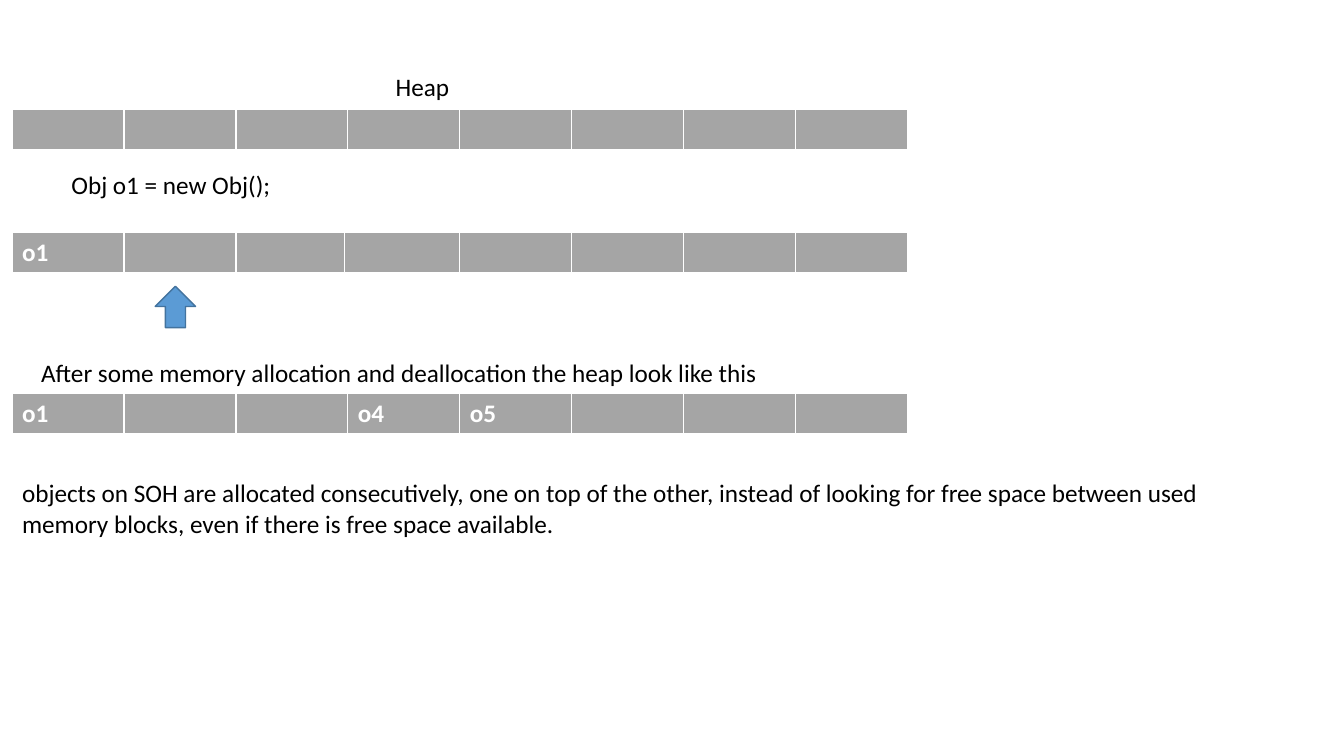
from lxml import etree
from pptx import Presentation
from pptx import util as u
from pptx.dml.color import RGBColor
from pptx.enum import shapes, text
from pptx.oxml.ns import qn

# Content
W, H = 13.33, 7.5
FONT, SIZE = "Calibri", 18
COLORS = {"ink": "000000", "white": "FFFFFF", "cell": "A5A5A5",
          "arrow": "5B9BD5", "arrow_line": "43739E"}
SLOTS = 8
HEAP_LEFT, SLOT_W, ROW_H = 0.12, 1.11, 0.41
BORDERS = {"a:lnL": 1, "a:lnR": 1, "a:lnT": 1, "a:lnB": 3}

# top, {slot: object}, {slot: change in width}
HEAPS = [
    (1.09, {}, {}),
    (2.31, {0: "o1"}, {2: -0.03, 3: 0.03}),
    (3.9, {0: "o1", 3: "o4", 4: "o5"}, {}),
]
# text, (left, top, width, height), alignment
CAPTIONS = [
    ("Heap", (0.61, 0.66, 7.16, 0.4), text.PP_ALIGN.CENTER),
    ("Obj o1 = new Obj();", (0.61, 1.63, 8.23, 0.4), text.PP_ALIGN.LEFT),
    ("After some memory allocation and deallocation the heap look like this",
     (0.31, 3.5, 9.69, 0.4), text.PP_ALIGN.LEFT),
    ("objects on SOH are allocated consecutively, one on top of the other, "
     "instead of looking for free space between used memory blocks, "
     "even if there is free space available.",
     (0.12, 4.69, 11.89, 0.71), text.PP_ALIGN.LEFT),
]
ARROW = (1.54, 2.84, 0.4, 0.41)


def rgb(name):
    return RGBColor.from_string(COLORS[name])


def inches(box):
    return [u.Inches(v) for v in box]


def write(tf, words, color="ink", bold=False, align=text.PP_ALIGN.LEFT):
    p = tf.paragraphs[0]
    p.alignment = align
    r = p.add_run()
    r.text = words
    r.font.name, r.font.size, r.font.bold = FONT, u.Pt(SIZE), bold
    r.font.color.rgb = rgb(color)


def add_borders(cell):
    tc_pr = cell._tc.get_or_add_tcPr()
    for i, (tag, width) in enumerate(BORDERS.items()):
        ln = etree.Element(qn(tag), w=str(u.Pt(width)))
        fill = etree.SubElement(ln, qn("a:solidFill"))
        etree.SubElement(fill, qn("a:srgbClr"), val=COLORS["white"])
        tc_pr.insert(i, ln)


def add_heap(s, top, objects, shifts):
    box = (HEAP_LEFT, top, SLOTS * SLOT_W, ROW_H)
    table = s.shapes.add_table(1, SLOTS, *inches(box)).table
    for i in range(SLOTS):
        table.columns[i].width = u.Inches(SLOT_W + shifts.get(i, 0))
        cell = table.cell(0, i)
        cell.fill.solid()
        cell.fill.fore_color.rgb = rgb("cell")
        add_borders(cell)
        if i in objects:
            write(cell.text_frame, objects[i], color="white", bold=True)


prs = Presentation()
prs.slide_width, prs.slide_height = inches((W, H))
s = prs.slides.add_slide(prs.slide_layouts[6])

# Heap states
for heap in HEAPS:
    add_heap(s, *heap)

# Captions
for words, box, align in CAPTIONS:
    tf = s.shapes.add_textbox(*inches(box)).text_frame
    tf.word_wrap = True
    tf.auto_size = text.MSO_AUTO_SIZE.SHAPE_TO_FIT_TEXT
    write(tf, words, align=align)

# Next free slot pointer
sp = s.shapes.add_shape(shapes.MSO_SHAPE.UP_ARROW, *inches(ARROW))
sp.shadow.inherit = False
sp.fill.solid()
sp.fill.fore_color.rgb = rgb("arrow")
sp.line.color.rgb = rgb("arrow_line")
sp.line.width = u.Pt(1)

prs.save("out.pptx")
